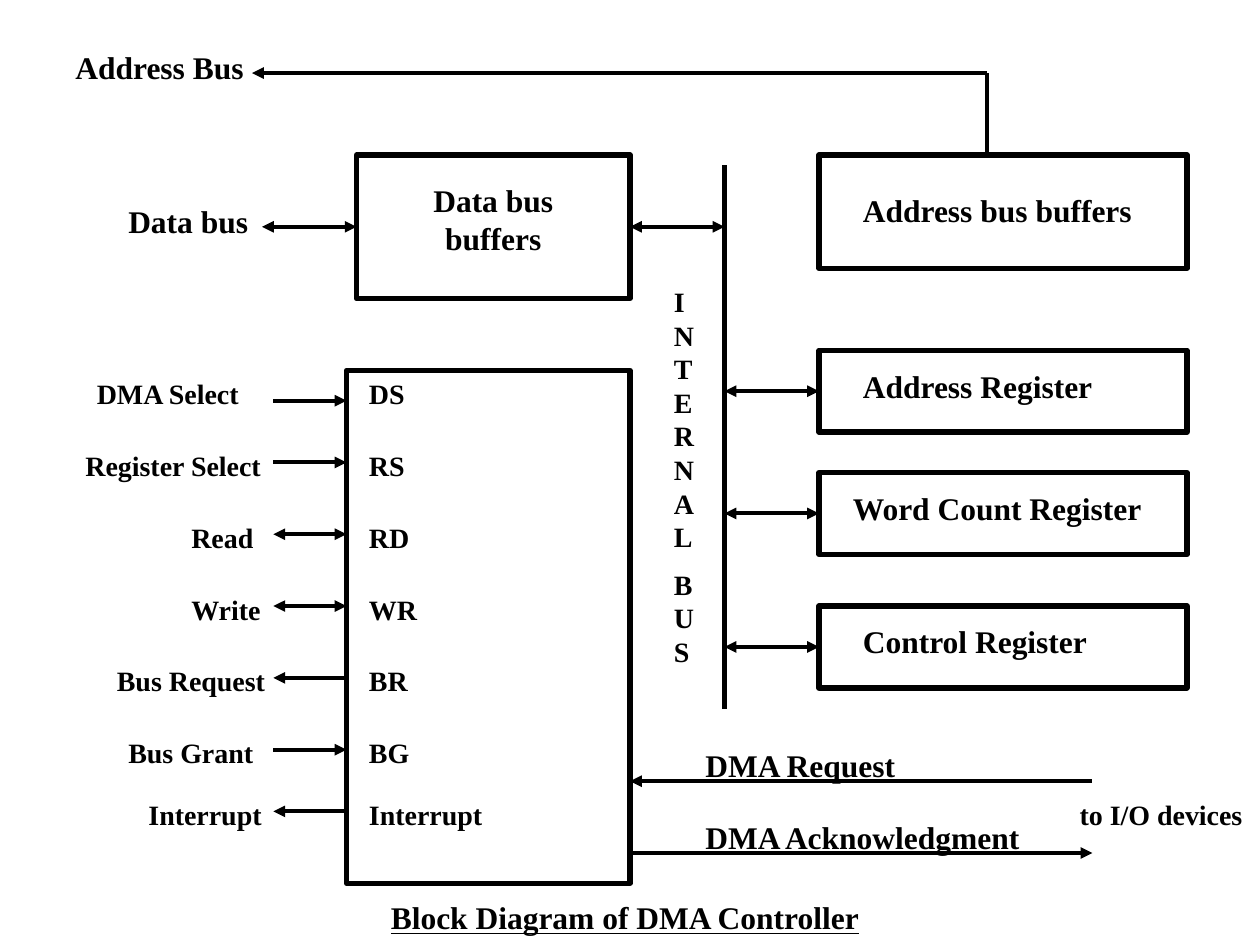
"""Build a block diagram slide of a DMA controller."""
from lxml import etree
from pptx import Presentation
from pptx.dml.color import RGBColor
from pptx.enum.shapes import MSO_CONNECTOR, MSO_SHAPE
from pptx.enum.text import MSO_ANCHOR, MSO_AUTO_SIZE, PP_ALIGN
from pptx.oxml.ns import qn
from pptx.util import Inches, Pt

RECT, STRAIGHT = MSO_SHAPE.RECTANGLE, MSO_CONNECTOR.STRAIGHT
TOP, NO_FIT = MSO_ANCHOR.TOP, MSO_AUTO_SIZE.NONE
LEFT, CENTER = PP_ALIGN.LEFT, PP_ALIGN.CENTER
BLACK = RGBColor(0, 0, 0)
FONT = "Times New Roman"
IN, OUT, BOTH, PLAIN = ("tailEnd",), ("headEnd",), ("headEnd", "tailEnd"), ()

TITLE = "Block Diagram of DMA Controller"
CONTROL_X, BLOCK_RIGHT, BUS_X, REGISTER_X = 2.75, 5, 5.75, 6.5
REGISTER_W, REGISTER_H = 2.92, 0.65
DATA_Y, ADDRESS_Y, ADDRESS_X = 1.8, 0.58, 7.83

BLOCKS = [
    (REGISTER_X, 1.23, REGISTER_W, 0.9),
    (2.83, 1.23, 2.17, 1.14),
    (CONTROL_X, 2.94, 2.25, 4.07),
]

# name, box top, text left, text width
REGISTERS = [
    ("Address Register", 2.78, 6.75, 2.5),
    ("Word Count Register", 3.75, 6.67, 3.08),
    ("Control Register", 4.81, 6.75, 2.5),
]

# outer label, left, width, pin, text top, arrow height, direction
SIGNALS = [
    ("DMA Select", 0.67, 1.58, "DS", 2.94, 3.18, IN),
    ("Register Select", 0.58, 1.83, "RS", 3.51, 3.67, IN),
    ("Read", 1.42, 0.75, "RD", 4.08, 4.24, BOTH),
    ("Write", 1.42, 0.83, "WR", 4.65, 4.81, BOTH),
    ("Bus Request", 0.83, 1.5, "BR", 5.22, 5.38, OUT),
    ("Bus Grant", 0.92, 1.25, "BG", 5.79, 5.95, IN),
    ("Interrupt", 1.08, 1.33, "Interrupt", 6.28, 6.44, OUT),
]

# start x, y, end x, y, arrowheads, width
LINES = [
    (2.08, DATA_Y, 2.83, DATA_Y, BOTH, 2.25),
    (BLOCK_RIGHT, DATA_Y, BUS_X, DATA_Y, BOTH, 2.25),
    (BUS_X, 1.31, BUS_X, 5.63, PLAIN, 3),
    (BLOCK_RIGHT, 6.2, 8.67, 6.2, OUT, 2.25),
    (BLOCK_RIGHT, 6.77, 8.67, 6.77, IN, 2.25),
    (ADDRESS_X, 1.23, ADDRESS_X, ADDRESS_Y, PLAIN, 2.25),
    (ADDRESS_X, ADDRESS_Y, 2, ADDRESS_Y, IN, 2.25),
]

# text, left, top, width, height, size, alignment
LABELS = [
    ("Address Bus", 0.5, 0.33, 1.67, 0.39, 18, LEFT),
    ("Data bus", 0.92, 1.55, 1.33, 0.39, 18, LEFT),
    ("Data bus buffers", 3, 1.39, 1.83, 0.69, 18, CENTER),
    ("Address bus buffers", 6.75, 1.47, 2.5, 0.39, 18, LEFT),
    ("INTERNAL\nBUS", 5.25, 2.21, 0.42, 3.1, 16, LEFT),
    ("DMA Request", 5.5, 5.87, 2.5, 0.39, 18, LEFT),
    ("DMA Acknowledgment", 5.5, 6.44, 2.75, 0.39, 18, LEFT),
    ("to I/O devices", 8.47, 6.28, 1.53, 0.36, 16, LEFT),
]


def write(tf, text, size=18, align=LEFT, underline=False):
    tf.word_wrap, tf.auto_size, tf.vertical_anchor = True, NO_FIT, TOP
    tf.text = text
    for i, p in enumerate(tf.paragraphs):
        p.alignment = align
        p.space_before = Pt(size / 2 if i else 0)
        font = p.runs[0].font
        font.name, font.size, font.bold = FONT, Pt(size), True
        font.underline = underline
        font.color.rgb = BLACK


def add_label(s, text, x, y, w, h, size=18, align=LEFT):
    box = s.shapes.add_textbox(Inches(x), Inches(y), Inches(w), Inches(h))
    write(box.text_frame, text, size=size, align=align)


def add_block(s, x, y, w, h):
    sp = s.shapes.add_shape(RECT, Inches(x), Inches(y), Inches(w), Inches(h))
    sp.shadow.inherit = False
    sp.fill.background()
    sp.line.color.rgb = BLACK
    sp.line.width = Pt(3)


def add_line(s, x1, y1, x2, y2, heads, width=2.25):
    line = s.shapes.add_connector(
        STRAIGHT, Inches(x1), Inches(y1), Inches(x2), Inches(y2))
    line.line.color.rgb = BLACK
    line.line.width = Pt(width)
    sp_pr = line._element.spPr
    for head in heads:
        etree.SubElement(sp_pr.find(qn("a:ln")), qn(f"a:{head}"), type="triangle")
    etree.SubElement(sp_pr, qn("a:effectLst"))


def main():
    prs = Presentation()
    prs.slide_width, prs.slide_height = Inches(10), Inches(7.5)
    s = prs.slides.add_slide(prs.slide_layouts[5])

    title = s.shapes.title
    title.left, title.top = Inches(2.17), Inches(7.08)
    title.width, title.height = Inches(5.58), Inches(0.39)
    write(title.text_frame, TITLE, align=CENTER, underline=True)

    for block in BLOCKS:
        add_block(s, *block)
    for line in LINES:
        add_line(s, *line)
    for name, y, text_x, text_w in REGISTERS:
        middle = y + REGISTER_H / 2
        add_block(s, REGISTER_X, y, REGISTER_W, REGISTER_H)
        add_line(s, BUS_X, middle, REGISTER_X, middle, BOTH)
        add_label(s, name, text_x, y + 0.08, text_w, 0.39)
    for name, x, w, pin, y, arrow_y, heads in SIGNALS:
        add_line(s, 2.17, arrow_y, CONTROL_X, arrow_y, heads)
        add_label(s, name, x, y, w, 0.36, size=16)
        add_label(s, pin, 2.83, y, 1.25, 0.36, size=16)
    for label in LABELS:
        add_label(s, *label)

    prs.save("out.pptx")


if __name__ == "__main__":
    main()
